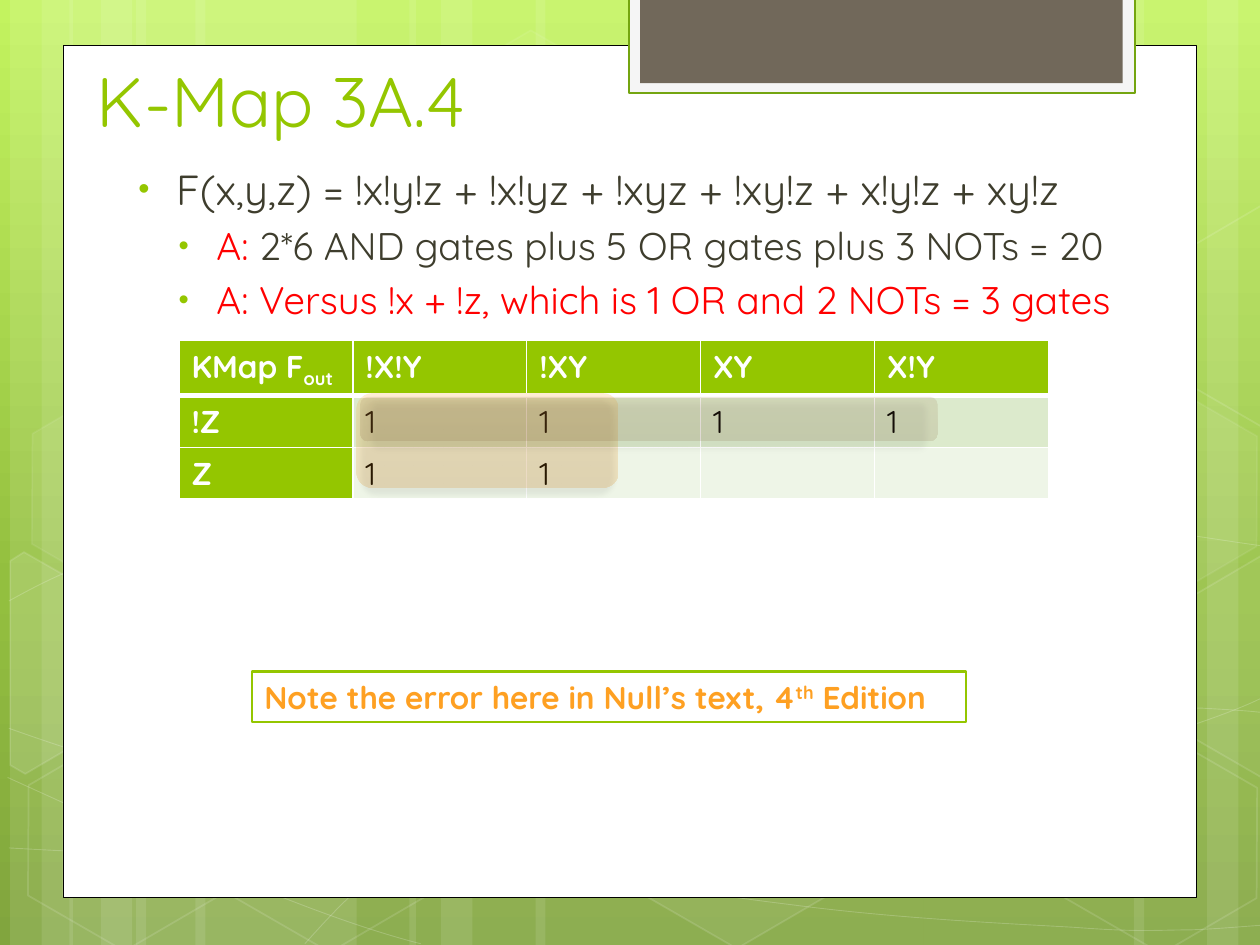
from math import cos, radians, sin

from lxml.etree import SubElement
from pptx import Presentation
from pptx.dml.color import RGBColor
from pptx.enum.shapes import MSO_SHAPE
from pptx.enum.text import MSO_ANCHOR
from pptx.oxml import parse_xml
from pptx.oxml.ns import nsdecls, qn
from pptx.util import Inches, Pt

WHITE = RGBColor(0xFF, 0xFF, 0xFF)
BLACK = RGBColor(0, 0, 0)
LIME = RGBColor(0x94, 0xC6, 0x00)
GREEN = RGBColor(0x74, 0xA5, 0x10)
OLIVE = RGBColor(0x3E, 0x3D, 0x2D)
RED = RGBColor(0xFF, 0, 0)
ORANGE = RGBColor(0xFE, 0xA0, 0x22)
TAUPE = RGBColor(0x71, 0x68, 0x5A)
PALE = RGBColor(0xF5, 0xF5, 0xF5)
BANDS = [RGBColor(0xDC, 0xEA, 0xCC), RGBColor(0xEE, 0xF5, 0xE7)]
FONT = "Quicksand"
TILT = 30

# Content: a paragraph is a list of (text, run format) pairs
TITLE = [[("K-Map 3A.4", {})]]
BODY = [
    [("F(x,y,z) = !x!y!z + !x!yz + !xyz + !xy!z + x!y!z + xy!z", {"size": 24})],
    [("A: ", {"color": RED}), ("2*6 AND gates plus 5 OR gates plus 3 NOTs = 20", {})],
    [("A: Versus !x + !z, which is 1 OR and 2 NOTs = 3 gates", {"color": RED})],
]
BODY_MARGINS = [0.38, 0.7, 0.7]
KMAP = [
    [[("KMap F", {}), ("out", {"baseline": -25})], "!X!Y", "!XY", "XY", "X!Y"],
    ["!Z", "1", "1", "1", "1"],
    ["Z", "1", "1", "", ""],
]
NOTE = [[("Note the error here in Null’s text, 4", {}), ("th", {"baseline": 30}),
         (" Edition", {})]]

# Backdrop: (left, width) stripes, (left, top, fill %, line %) hexagons
STRIPES = [(1.08, 1.75), (0.08, 0.5), (0.33, 0.83), (1.55, 1.75), (0.55, 0.5),
           (0.8, 0.83), (7.33, 1.75), (9.58, 0.5), (9, 0.83), (4.25, 3.08),
           (3.25, 0.5), (3.5, 0.83)]
HEXAGONS = [(3.34, 0.36, 4, 8), (4.97, 5.89, 6, 12), (0.11, 5.91, 0, 12),
            (0.14, 3.12, 7, 8), (1.74, 5.92, 0, 12), (7.53, 4.53, 10, 12),
            (8.34, 5.93, 0, 12), (8.34, 3.14, 7, 8)]
# Hexagons cut at the slide edge: fill %, centre of tilt, corners
CUT_HEXAGONS = [
    (10, (0.36, 5.35), [(0.08, 4.45), (0.19, 4.38), (0.96, 4.82), (0.95, 5.7),
                        (0.2, 6.14), (0.08, 6.07)]),
    (4, (9.85, 5.2), [(9.26, 4.85), (10.01, 4.41), (10.09, 4.46), (10.09, 6.13),
                      (10.02, 6.17), (9.26, 5.73)]),
    (0, (9.85, 2.41), [(9.26, 2.07), (10.01, 1.63), (10.1, 1.68), (10.09, 3.35),
                       (10.02, 3.39), (9.26, 2.95)]),
]
# Each wave is a start point, then three Bezier points per section
WAVES = [
    [(0.07, 6.73), (0.61, 6.76), (1.15, 6.79), (1.9, 6.78), (2.65, 6.77), (3.58, 6.75),
     (4.58, 6.65), (5.58, 6.55), (7, 6.36), (7.92, 6.17), (8.83, 5.98), (9.77, 5.68),
     (10.07, 5.51)],
    [(0.07, 4.77), (0.36, 4.61), (0.65, 4.46), (1.21, 4.31), (1.78, 4.16), (2.59, 3.94),
     (3.47, 3.87), (4.36, 3.8), (5.44, 3.79), (6.54, 3.87), (7.64, 3.95), (9.47, 4.26),
     (10.07, 4.34)],
    [(0.06, 6.17), (1.27, 6.72), (2.47, 7.27), (3.34, 7.49)],
    [(0.07, 5.78), (0.38, 5.89), (0.7, 6), (1.28, 6.16), (1.86, 6.31), (2.73, 6.56),
     (3.57, 6.73), (4.4, 6.9), (5.45, 7.08), (6.28, 7.18), (7.11, 7.29), (8, 7.33),
     (8.53, 7.36), (9.05, 7.4), (9.19, 7.38), (9.45, 7.38), (9.71, 7.37), (9.89, 7.35),
     (10.07, 7.34)],
    [(2.42, 7.49), (2.6, 7.29), (2.78, 7.09), (3.02, 6.91), (3.26, 6.73), (3.6, 6.53),
     (3.88, 6.39), (4.16, 6.25), (4.33, 6.19), (4.7, 6.09), (5.06, 5.99), (5.73, 5.85),
     (6.08, 5.78), (6.44, 5.71), (6.49, 5.71), (6.8, 5.69), (7.11, 5.66), (7.6, 5.63),
     (7.94, 5.62), (8.29, 5.61), (8.86, 5.62), (8.86, 5.62), (9.08, 5.62), (9.31, 5.62),
     (9.53, 5.62), (9.71, 5.63), (9.88, 5.64), (9.97, 5.65), (10.06, 5.66),
     (10.03, 5.65), (10.06, 5.66)],
]
# Loops around the grouped ones: box, gradient colours, opacity %
LOOPS = [((2.83, 3.12, 2.08, 0.75), ("FEA022", "DB820A"), 19),
         ((2.86, 3.15, 4.58, 0.35), ("956B43", "7D552F"), 15)]


def write(frame, paragraphs, size=18, color=BLACK, bold=False, space=0):
    frame.word_wrap = True
    for index, runs in enumerate(paragraphs):
        paragraph = frame.paragraphs[0] if index == 0 else frame.add_paragraph()
        if index and space:
            paragraph.space_before = Pt(space)
        for text, style in runs:
            run = paragraph.add_run()
            run.text = text
            run.font.name, run.font.bold = FONT, bold
            run.font.size = Pt(style.get("size", size))
            run.font.color.rgb = style.get("color", color)
            if "baseline" in style:
                run.font._element.set("baseline", str(style["baseline"] * 1000))


def paint(shape, fill=None, alpha=100, line=None, width=1, line_alpha=100):
    shape.shadow.inherit = False
    for target, color, opacity in ((shape.fill, fill, alpha),
                                   (shape.line.fill, line, line_alpha)):
        if color is None or opacity == 0:
            target.background()
            continue
        target.solid()
        target.fore_color.rgb = color
        if opacity < 100:
            mark = target._xPr.find(qn("a:solidFill"))[0]
            SubElement(mark, qn("a:alpha")).set("val", str(opacity * 1000))
    if line is not None:
        shape.line.width = Pt(width)


def add_box(box, kind=MSO_SHAPE.RECTANGLE, **style):
    shape = slide.shapes.add_shape(kind, *map(Inches, box))
    paint(shape, **style)
    return shape


def add_outline(points, close, **style):
    corners = [(Inches(x), Inches(y)) for x, y in points]
    builder = slide.shapes.build_freeform(*corners[0])
    builder.add_line_segments(corners[1:], close=close)
    shape = builder.convert_to_shape()
    paint(shape, **style)
    return shape


def curve(shape):
    """Turn every three straight segments into one Bezier section."""
    outline = next(shape._element.iter(qn("a:path")))
    segments = outline.findall(qn("a:lnTo"))
    for start in range(0, len(segments), 3):
        section = SubElement(outline, qn("a:cubicBezTo"))
        for segment in segments[start:start + 3]:
            section.append(segment[0])
            outline.remove(segment)


def untilt(point, centre):
    dx, dy = point[0] - centre[0], point[1] - centre[1]
    c, s = cos(radians(TILT)), sin(radians(TILT))
    return centre[0] + c * dx + s * dy, centre[1] - s * dx + c * dy


def gradient(stops, alpha=100):
    marks = "".join(f'<a:gs pos="{pos * 1000}"><a:srgbClr val="{color}">'
                    f'<a:alpha val="{alpha * 1000}"/></a:srgbClr></a:gs>'
                    for pos, color in stops)
    return parse_xml(f'<a:gradFill {nsdecls("a")}><a:gsLst>{marks}</a:gsLst>'
                     '<a:lin ang="5400000" scaled="0"/></a:gradFill>')


def replace_fill(parent, new_fill):
    parent.replace(parent.find(qn("a:solidFill")), new_fill)


def add_text(box, paragraphs, anchor=MSO_ANCHOR.TOP, **style):
    shape = slide.shapes.add_textbox(*map(Inches, box))
    shape.text_frame.vertical_anchor = anchor
    write(shape.text_frame, paragraphs, **style)
    return shape


def add_bullet(paragraph, margin):
    props = paragraph._p.get_or_add_pPr()
    props.set("marL", str(Inches(margin)))
    props.set("indent", str(Inches(-0.3)))
    color = SubElement(props, qn("a:buClr"))
    SubElement(color, qn("a:srgbClr")).set("val", str(LIME))
    SubElement(props, qn("a:buSzPct")).set("val", "76000")
    SubElement(props, qn("a:buFont")).set("typeface", "Arial")
    SubElement(props, qn("a:buChar")).set("char", "•")


def add_borders(cell, header):
    props = cell._tc.get_or_add_tcPr()
    for index, side in enumerate(("lnL", "lnR", "lnT", "lnB")):
        width = 3 if header and side == "lnB" else 1
        props.insert(index, parse_xml(
            f'<a:{side} {nsdecls("a")} w="{Pt(width)}"><a:solidFill>'
            f'<a:srgbClr val="{WHITE}"/></a:solidFill></a:{side}>'))


deck = Presentation()
deck.slide_width, deck.slide_height = Inches(10), Inches(7.5)
slide = deck.slides.add_slide(deck.slide_layouts[6])

# Backdrop
slide.background.fill.solid()
replace_fill(slide.background._cSld.bg.bgPr,
             gradient([(0, "C3F35F"), (62, "93BF3F"), (100, "81A53E")]))
for left, width in STRIPES:
    add_box((left, 0, width, 7.5), fill=WHITE, alpha=10)
for wave in WAVES:
    curve(add_outline(wave, False, line=WHITE, width=0.5, line_alpha=20))
for left, top, alpha, line_alpha in HEXAGONS:
    hexagon = add_box((left, top, 1.75, 1.52), MSO_SHAPE.HEXAGON, fill=WHITE,
                      alpha=alpha, line=WHITE, line_alpha=line_alpha)
    hexagon.adjustments[0] = 0.285
    hexagon.rotation = TILT
for alpha, centre, corners in CUT_HEXAGONS:
    upright = [untilt(corner, centre) for corner in corners]
    add_outline(upright, True, fill=WHITE, alpha=alpha, line=WHITE,
                line_alpha=12).rotation = TILT

# Panel and tab
add_box((0.5, 0.36, 9, 6.76), fill=WHITE, line=BLACK, width=0.5)
add_box((4.99, -0.02, 4.02, 0.76), fill=PALE, line=GREEN, width=1.25)
add_box((5.08, -0.02, 3.83, 0.68), fill=TAUPE)

# Title and bullets
add_text((0.67, -0.08, 7.68, 1.25), TITLE, MSO_ANCHOR.BOTTOM, size=40, color=LIME)
body = add_text((0.92, 1.25, 8.83, 3.84), BODY, size=22, color=OLIVE, space=4.6)
for paragraph, margin in zip(body.text_frame.paragraphs, BODY_MARGINS):
    add_bullet(paragraph, margin)

# Karnaugh map
kmap = slide.shapes.add_table(3, 5, *map(Inches, (1.42, 2.7, 6.9, 1.23))).table
for r, row in enumerate(KMAP):
    for c, content in enumerate(row):
        cell, heading = kmap.cell(r, c), r == 0 or c == 0
        cell.fill.solid()
        cell.fill.fore_color.rgb = LIME if heading else BANDS[r - 1]
        add_borders(cell, r == 0)
        runs = [(content, {})] if isinstance(content, str) else content
        if content:
            write(cell.text_frame, [runs], bold=heading, color=WHITE if heading else BLACK)

# Loops
for box, (top_color, bottom_color), alpha in LOOPS:
    props = add_box(box, MSO_SHAPE.ROUNDED_RECTANGLE, fill=WHITE)._element.spPr
    replace_fill(props, gradient([(0, top_color), (100, bottom_color)], alpha))
    props.find(qn("a:effectLst")).append(parse_xml(
        f'<a:outerShdw {nsdecls("a")} blurRad="{Pt(3.5)}" dist="{Pt(4)}" dir="5400000" '
        f'sx="96000" rotWithShape="0"><a:srgbClr val="{BLACK}"><a:alpha val="34000"/>'
        '</a:srgbClr></a:outerShdw>'))

# Note
note = add_text((2, 5.33, 5.67, 0.4), NOTE, color=ORANGE, bold=True)
note.fill.solid()
note.fill.fore_color.rgb = WHITE
note.line.color.rgb = LIME
note.line.width = Pt(1.25)

deck.save("out.pptx")
